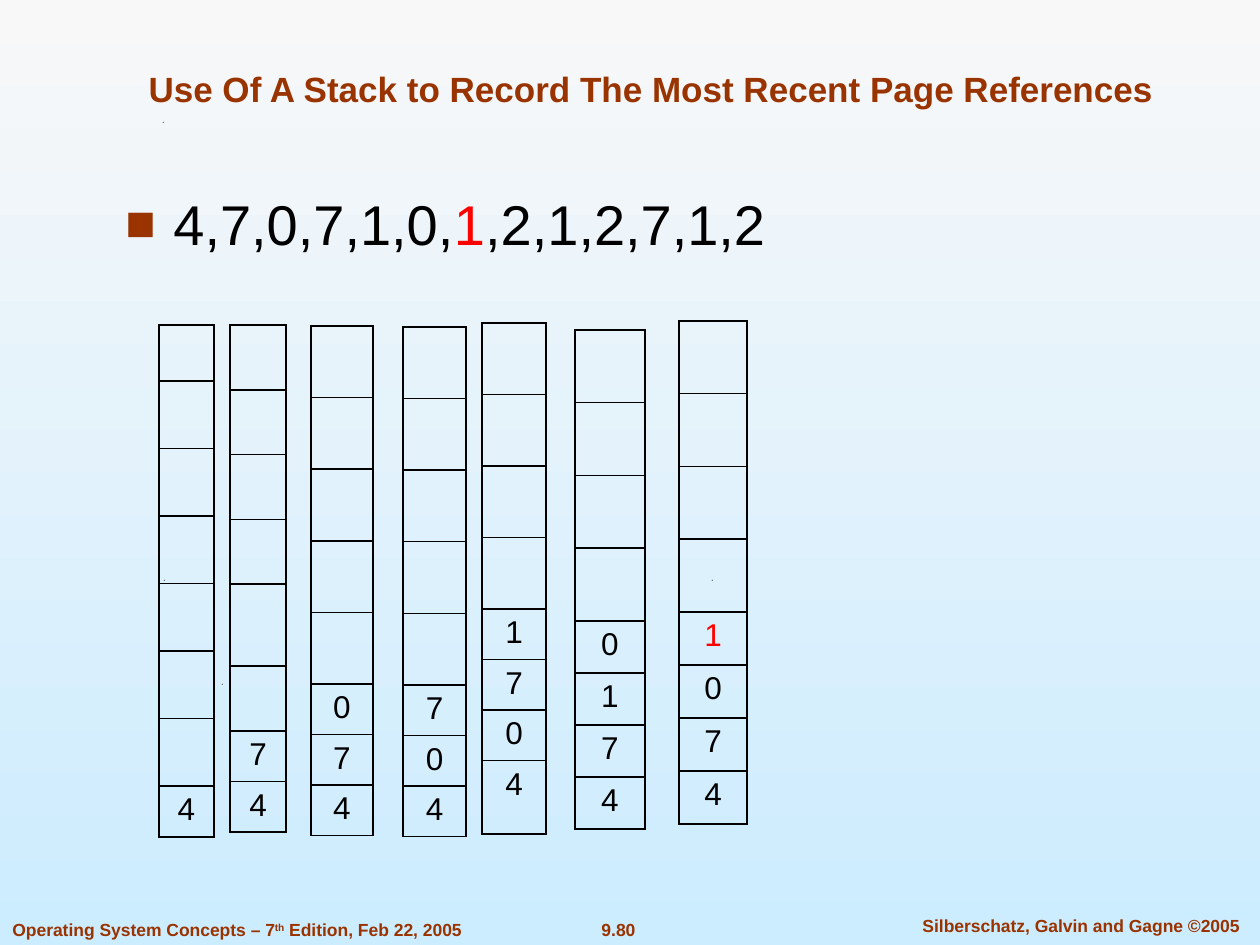
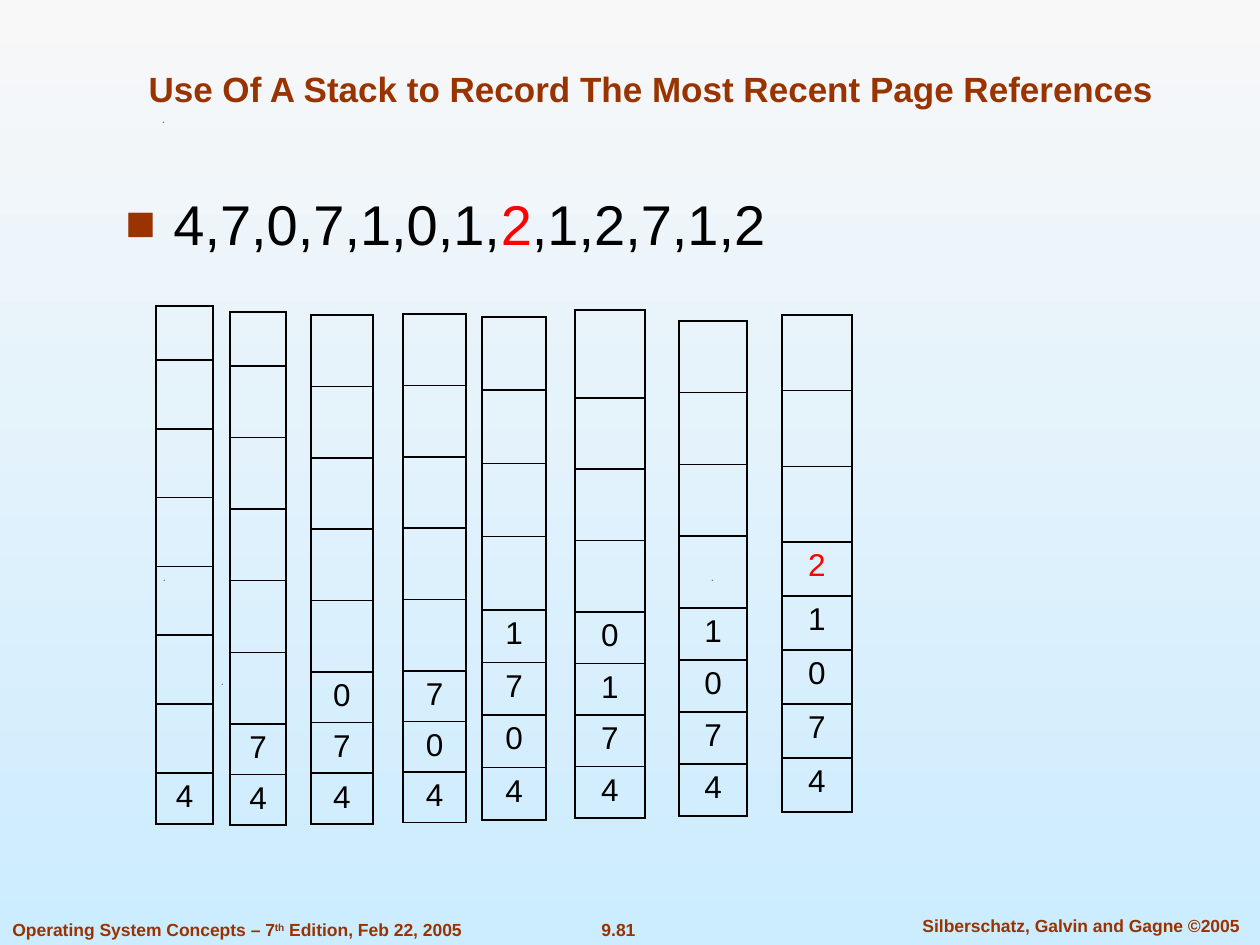
import dataclasses
import typing

import lxml.etree
import pptx
import pptx.dml.color
import pptx.enum.text
import pptx.oxml.ns
import pptx.shapes.base
import pptx.slide
import pptx.text.text
import pptx.util

EMU_PER_PX = 914400 / 126
FONT = "Arial"
COLOURS = {
    "brand": "993300",
    "ink": "000000",
    "current": "FF0000",
    "sky_top": "F8F8F8",
    "sky_bottom": "CCECFF",
}
ALIGN = pptx.enum.text.PP_ALIGN
TITLE = "Use Of A Stack to Record The Most Recent Page References"
REFERENCES = "4707101212712"
STACK_ROWS = 8
SPECKS = [(222, 684), (164, 580), (712, 580), (163, 122)]


@dataclasses.dataclass(frozen=True)
class Area:
    left: int
    top: int
    width: int
    height: int


@dataclasses.dataclass(frozen=True)
class Stack:
    """One column: its pages fill the rows from first_page down to bottom."""
    left: int
    width: int
    top: int
    first_page: int
    bottom: int
    odd_rows: dict[int, int] = dataclasses.field(default_factory=dict)


@dataclasses.dataclass(frozen=True)
class Step:
    number: str
    stacks: list[Stack]


STEPS = [
    Step("9.80", [
        Stack(159, 55, 325, 786, 837, {0: 56}),
        Stack(230, 56, 325, 731, 831, {4: 82}),
        Stack(311, 62, 326, 684, 835),
        Stack(403, 63, 327, 685, 836),
        Stack(482, 64, 323, 609, 834, {7: 74}),
        Stack(575, 70, 330, 621, 829),
        Stack(679, 68, 321, 612, 824),
    ]),
    Step("9.81", [
        Stack(156, 57, 306, 773, 824, {0: 54}),
        Stack(230, 56, 312, 724, 825, {0: 54}),
        Stack(311, 62, 315, 672, 824),
        Stack(403, 63, 314, 671, 822),
        Stack(482, 64, 317, 610, 820),
        Stack(575, 70, 310, 612, 818, {0: 88}),
        Stack(679, 68, 321, 608, 816),
        Stack(782, 70, 315, 542, 812),
    ]),
]


def px(length: float) -> pptx.util.Emu:
    return pptx.util.Emu(round(length * EMU_PER_PX))


def rgb(name: str) -> pptx.dml.color.RGBColor:
    return pptx.dml.color.RGBColor.from_string(COLOURS[name])


def add_xml(parent: typing.Any, tag: str, **attributes: str) -> typing.Any:
    return lxml.etree.SubElement(parent, pptx.oxml.ns.qn(tag), attributes)


def style(para: pptx.text.text._Paragraph, size: int, colour: str,
          bold: bool = False, align: ALIGN = ALIGN.CENTER) -> None:
    para.alignment = align
    para.font.name = FONT
    para.font.size = pptx.util.Pt(size)
    para.font.bold = bold
    para.font.color.rgb = rgb(colour)


def place(shape: pptx.shapes.base.BaseShape, area: Area) -> None:
    shape.left, shape.top = px(area.left), px(area.top)
    shape.width, shape.height = px(area.width), px(area.height)


def add_box(page: pptx.slide.Slide, area: Area) -> pptx.text.text._Paragraph:
    """Add a wrapping text box and return its first paragraph."""
    box = page.shapes.add_textbox(0, 0, 0, 0)
    place(box, area)
    box.text_frame.word_wrap = True
    return box.text_frame.paragraphs[0]


def add_spans(para: pptx.text.text._Paragraph,
              texts: typing.Iterable[str]) -> list[pptx.text.text._Run]:
    spans = []
    for text in texts:
        span = para.add_run()
        span.text = text
        spans.append(span)
    return spans


def paint_background(master: pptx.slide.SlideMaster) -> None:
    fill = master.background.fill
    fill.gradient()
    fill.gradient_angle = 270
    for stop, name, position in zip(fill.gradient_stops,
                                    ("sky_top", "sky_bottom"), (0, 1)):
        stop.color.rgb = rgb(name)
        stop.position = position


def add_specks(page: pptx.slide.Slide) -> None:
    for x, y in SPECKS:
        builder = page.shapes.build_freeform(x, y, scale=EMU_PER_PX)
        builder.add_line_segments([(x + 1, y), (x, y + 1)])
        speck = builder.convert_to_shape()
        speck.shadow.inherit = False
        speck.fill.solid()
        speck.fill.fore_color.rgb = rgb("ink")
        speck.line.fill.background()


def add_footers(page: pptx.slide.Slide, number: str) -> None:
    edition = add_box(page, Area(0, 913, 476, 32))
    spans = add_spans(edition, ["Operating System Concepts – 7", "th",
                                " Edition, Feb 22, 2005"])
    spans[1].font._element.set("baseline", "30000")
    style(edition, 10, "brand", True, ALIGN.LEFT)

    for text, area in [(number, Area(568, 913, 101, 32)),
                       ("Silberschatz, Galvin and Gagne ©2005",
                        Area(894, 909, 374, 32))]:
        para = add_box(page, area)
        para.text = text
        style(para, 10, "brand", True)


def format_title(page: pptx.slide.Slide) -> None:
    title = page.shapes.title
    place(title, Area(95, 32, 1112, 84))
    frame = title.text_frame
    frame.text = TITLE
    frame.word_wrap = True
    frame.auto_size = pptx.enum.text.MSO_AUTO_SIZE.NONE
    frame.vertical_anchor = pptx.enum.text.MSO_ANCHOR.BOTTOM
    style(frame.paragraphs[0], 20, "brand", True)


def add_references(page: pptx.slide.Slide, current: int) -> None:
    """Write the reference string with the current reference marked."""
    para = add_box(page, Area(113, 183, 1013, 85))
    before = ",".join(REFERENCES[:current]) + ","
    after = "," + ",".join(REFERENCES[current + 1:])
    spans = add_spans(para, [before, REFERENCES[current], after])
    spans[1].font.color.rgb = rgb("current")

    settings = para._p.get_or_add_pPr()
    settings.set("marL", str(px(48)))
    settings.set("indent", str(-px(48)))
    add_xml(add_xml(settings, "a:buClr"), "a:srgbClr", val=COLOURS["brand"])
    add_xml(settings, "a:buSzPct", val="90000")
    add_xml(settings, "a:buFont", typeface=FONT)
    add_xml(settings, "a:buChar", char="■")
    style(para, 32, "ink", align=ALIGN.LEFT)


def recent_pages(count: int) -> str:
    """Pages after the first count references, most recent first."""
    return "".join(dict.fromkeys(reversed(REFERENCES[:count])))


def row_heights(stack: Stack, page_count: int) -> list[float]:
    """Share each part of the stack evenly among its rows of no set height."""
    split = STACK_ROWS - page_count
    heights = []
    for rows, total in [(range(split), stack.first_page - stack.top),
                        (range(split, STACK_ROWS),
                         stack.bottom - stack.first_page)]:
        fixed = [stack.odd_rows[row] for row in rows if row in stack.odd_rows]
        even = (total - sum(fixed)) / max(1, len(rows) - len(fixed))
        heights += [stack.odd_rows.get(row, even) for row in rows]
    return heights


def outline(cell: typing.Any) -> None:
    cell.fill.background()
    settings = cell._tc.get_or_add_tcPr()
    for index, side in enumerate(("a:lnL", "a:lnR", "a:lnT", "a:lnB")):
        line = add_xml(settings, side, w=str(pptx.util.Pt(1)))
        add_xml(add_xml(line, "a:solidFill"), "a:srgbClr", val=COLOURS["ink"])
        settings.insert(index, line)


def add_stack(page: pptx.slide.Slide, stack: Stack, pages: str,
              is_current: bool) -> None:
    frame = page.shapes.add_table(
        STACK_ROWS, 1, px(stack.left), px(stack.top), px(stack.width),
        px(stack.bottom - stack.top))
    table = frame.table
    table.first_row = table.horz_banding = False
    for row, height in zip(table.rows, row_heights(stack, len(pages))):
        row.height = px(height)
        outline(row.cells[0])
    split = STACK_ROWS - len(pages)
    for index, text in enumerate(pages):
        para = table.cell(split + index, 0).text_frame.paragraphs[0]
        para.text = text
        marked = is_current and index == 0
        style(para, 18, "current" if marked else "ink")


def add_page(deck: typing.Any, step: Step) -> None:
    page = deck.slides.add_slide(deck.slide_layouts.get_by_name("Title Only"))
    add_specks(page)
    add_footers(page, step.number)
    format_title(page)
    count = len(step.stacks)
    add_references(page, count - 1)
    for position, stack in enumerate(step.stacks, start=1):
        add_stack(page, stack, recent_pages(position), position == count)


def main() -> None:
    deck = pptx.Presentation()
    deck.slide_width, deck.slide_height = px(1260), px(945)
    paint_background(deck.slide_master)
    for step in STEPS:
        add_page(deck, step)
    deck.save("out.pptx")


if __name__ == "__main__":
    main()
